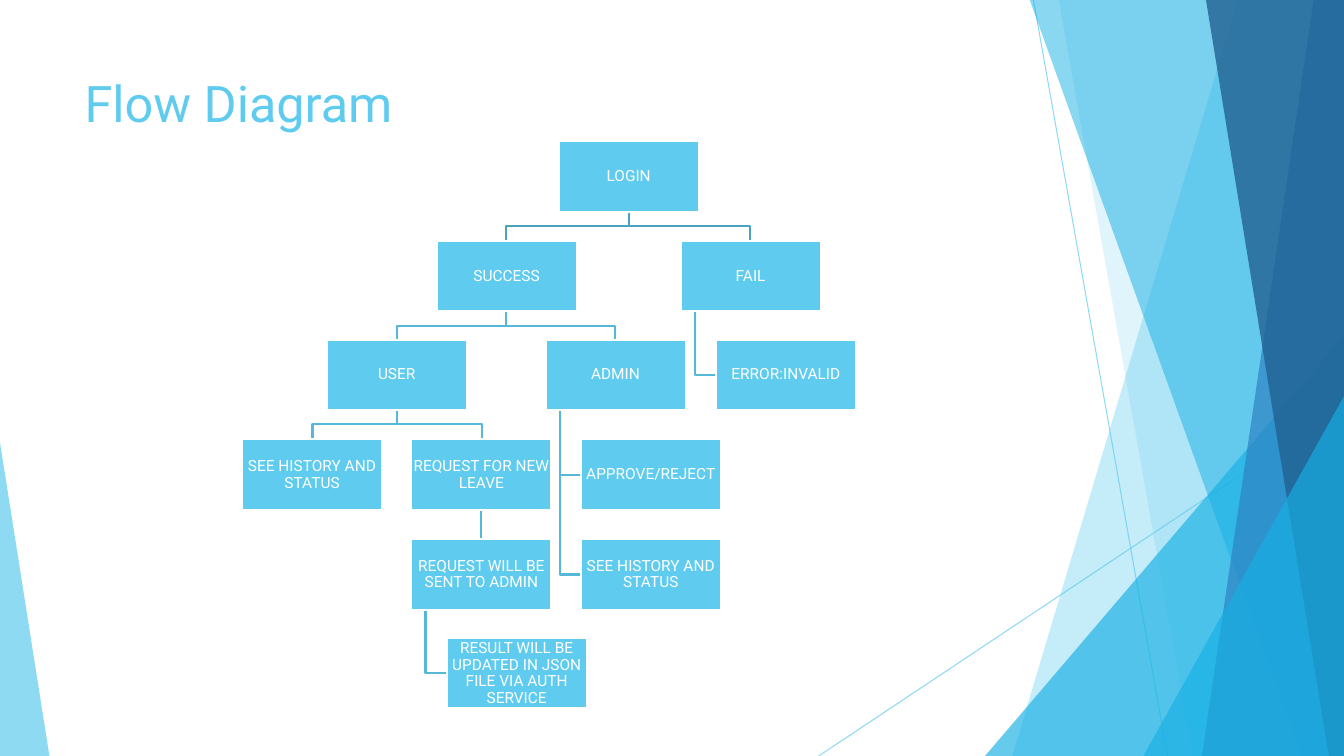
from lxml.etree import SubElement
from pptx import Presentation
from pptx.dml.color import RGBColor
from pptx.enum.shapes import MSO_CONNECTOR as Conn, MSO_SHAPE as Kind
from pptx.enum.text import MSO_ANCHOR as Anchor, PP_ALIGN as Align
from pptx.oxml.ns import qn
from pptx.util import Pt

PX = 9144  # 100 px to the inch
WIDE, HIGH = 1333, 750
SKY, CYAN, WHITE = "5FCBEF", "17B0E4", "FFFFFF"


def paint(fill, color, alpha=100):
    fill.solid()
    fill.fore_color.rgb = RGBColor.from_string(color)
    if alpha < 100:
        tone = fill._xPr.find(".//" + qn("a:srgbClr"))
        SubElement(tone, qn("a:alpha"), val=str(alpha * 1000))


def trace(points, close):
    pen = shapes.build_freeform(*points[0], scale=PX)
    pen.add_line_segments(points[1:], close=close)
    outline = pen.convert_to_shape()
    outline.shadow.inherit = False
    return outline


deck = Presentation()
deck.slide_width, deck.slide_height = WIDE * PX, HIGH * PX
shapes = deck.slides.add_slide(deck.slide_layouts[6]).shapes

# Thin background lines
for ends in ((1025, 0, 1158, 750), (1333, 403, 812, 750)):
    ray = shapes.add_connector(Conn.STRAIGHT, *[n * PX for n in ends])
    ray.line.width = Pt(0.75)
    paint(ray.line.fill, SKY, 70)
    SubElement(ray._element.spPr, qn("a:effectLst"))

# Background facets: bands give their top and bottom left corners,
# triangles give left, top, width, height and apex
facets = [
    (SKY, 36, (1228, 1004)),
    (SKY, 20, (1050, 1183)),
    (CYAN, 66, (977, 333, 356, 417, 1)),
    (CYAN, 50, (1021, 1291)),
    ("2E83C3", 70, (1303, 1192)),
    ("226292", 80, (1196, 1318)),
    (CYAN, 66, (1134, 393, 199, 357, 1)),
    (SKY, 70, (0, 439, 49, 311, 0)),
]
for color, alpha, spot in facets:
    if len(spot) == 2:
        top, foot = spot
        facet = trace([(top, -1), (WIDE, -1), (WIDE, HIGH), (foot, HIGH)], True)
    else:
        facet = shapes.add_shape(Kind.ISOSCELES_TRIANGLE, *[n * PX for n in spot[:4]])
        facet.adjustments[0] = spot[4]
        facet.shadow.inherit = False
    paint(facet.fill, color, alpha)
    facet.line.fill.background()

# Title
title = shapes.add_textbox(74 * PX, 67 * PX, 940 * PX, 144 * PX)
title.text_frame.word_wrap = True
head = title.text_frame.paragraphs[0]
head.text = "Flow Diagram"
head.font.name, head.font.size = "Roboto", Pt(36)
paint(head.font.fill, SKY)

# Boxes: name, left, row, text
BOX_W, BOX_H, STEP = 139, 70, 98.65
nodes = [
    ("login", 554, 0, "LOGIN"),
    ("success", 433, 1, "SUCCESS"),
    ("user", 324, 2, "USER"),
    ("history", 240, 3, "SEE HISTORY AND STATUS"),
    ("request", 408, 3, "REQUEST FOR NEW LEAVE"),
    ("sent", 408, 4, "REQUEST WILL BE SENT TO ADMIN"),
    ("result", 443, 5, "RESULT WILL BE UPDATED IN JSON FILE VIA AUTH SERVICE"),
    ("admin", 541, 2, "ADMIN"),
    ("approve", 576, 3, "APPROVE/REJECT"),
    ("status", 576, 4, "SEE HISTORY AND STATUS"),
    ("fail", 675, 1, "FAIL"),
    ("error", 710, 2, "ERROR:INVALID"),
]
boxes, spots = {}, {}
for name, left, row, text in nodes:
    top = round(140 + row * STEP)
    spots[name] = left, top
    box = shapes.add_shape(
        Kind.RECTANGLE, left * PX, top * PX, BOX_W * PX, BOX_H * PX)
    boxes[name] = box
    box.shadow.inherit = False
    paint(box.fill, SKY)
    paint(box.line.fill, WHITE)
    box.line.width = Pt(1.5)
    frame = box.text_frame
    looks = dict(word_wrap=True, vertical_anchor=Anchor.MIDDLE, margin_left=PX,
                 margin_right=PX, margin_top=PX, margin_bottom=PX)
    for key, value in looks.items():
        setattr(frame, key, value)
    para = frame.paragraphs[0]
    para.text, para.alignment, para.line_spacing = text, Align.CENTER, 0.9
    para.font.name, para.font.size = "Roboto", Pt(11)
    paint(para.font.fill, WHITE)

# Links, laid behind the boxes: forks leave the middle, hooks the left edge
links = [
    ("fail", "error", "hook"), ("login", "fail", "fork"),
    ("admin", "status", "hook"), ("admin", "approve", "hook"),
    ("success", "admin", "fork"), ("sent", "result", "hook"),
    ("request", "sent", "straight"), ("user", "request", "fork"),
    ("user", "history", "fork"), ("success", "user", "fork"),
    ("login", "success", "fork"),
]
for start, end, form in links:
    (x, y), (to_x, to_y) = spots[start], spots[end]
    base = y + BOX_H
    if form == "straight":
        link = shapes.add_connector(Conn.STRAIGHT, 0, 0, 0, 0)
        link.begin_connect(boxes[start], 2)
        link.end_connect(boxes[end], 0)
    elif form == "hook":
        stem, level = x + 14, to_y + BOX_H // 2
        link = trace([(stem, base), (stem, level), (to_x, level)], False)
    else:
        mid, to_mid, level = x + BOX_W / 2, to_x + BOX_W / 2, base + 14
        link = trace([(mid, base), (mid, level), (to_mid, level), (to_mid, to_y)], False)
    paint(link.line.fill, "4CA3BF" if start == "login" else "56B8D9")
    link.line.width = Pt(1.5)
    if form == "straight":
        SubElement(link._element.spPr, qn("a:effectLst"))
    else:
        link.fill.background()
    boxes["login"]._element.addprevious(link._element)

deck.save("out.pptx")
